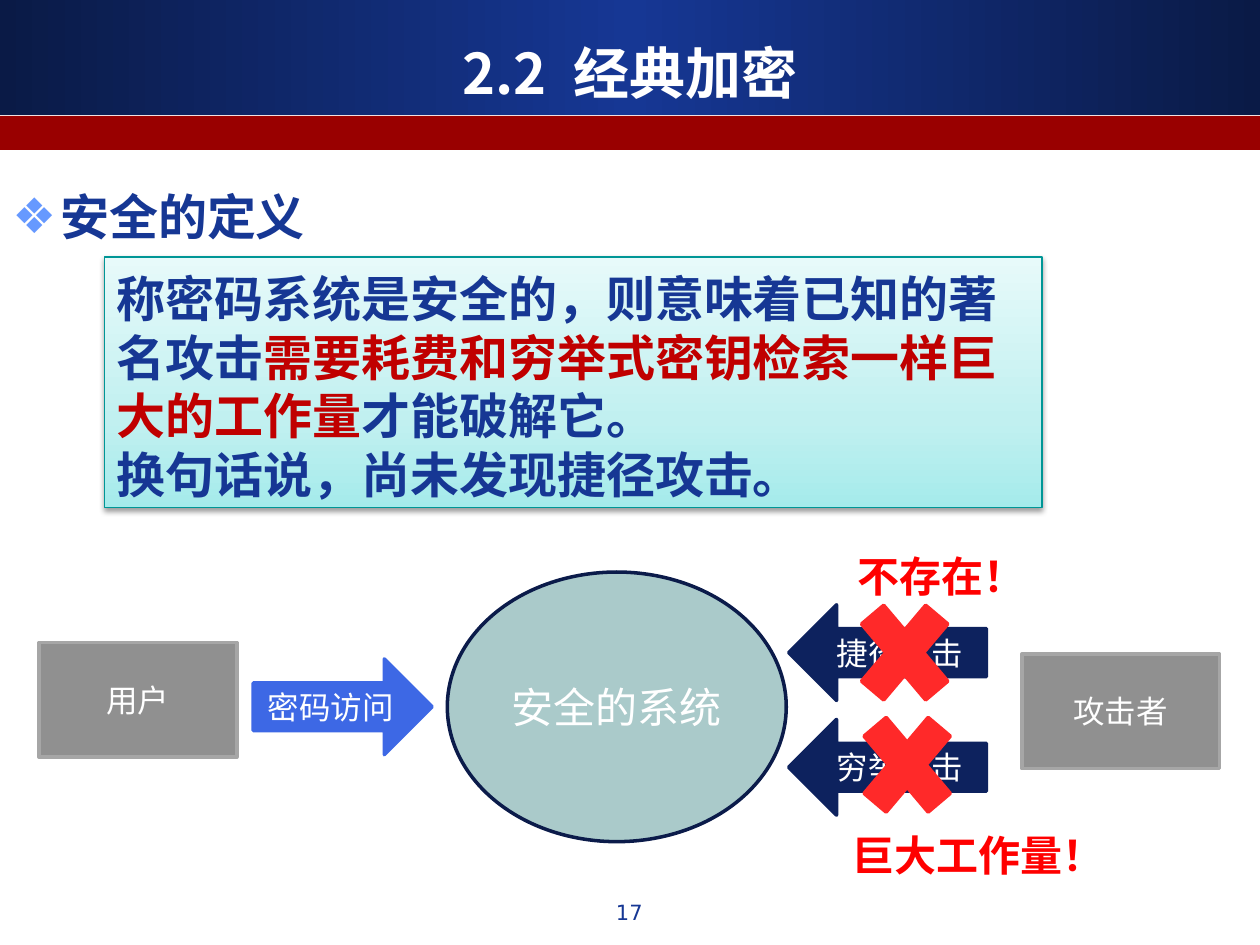
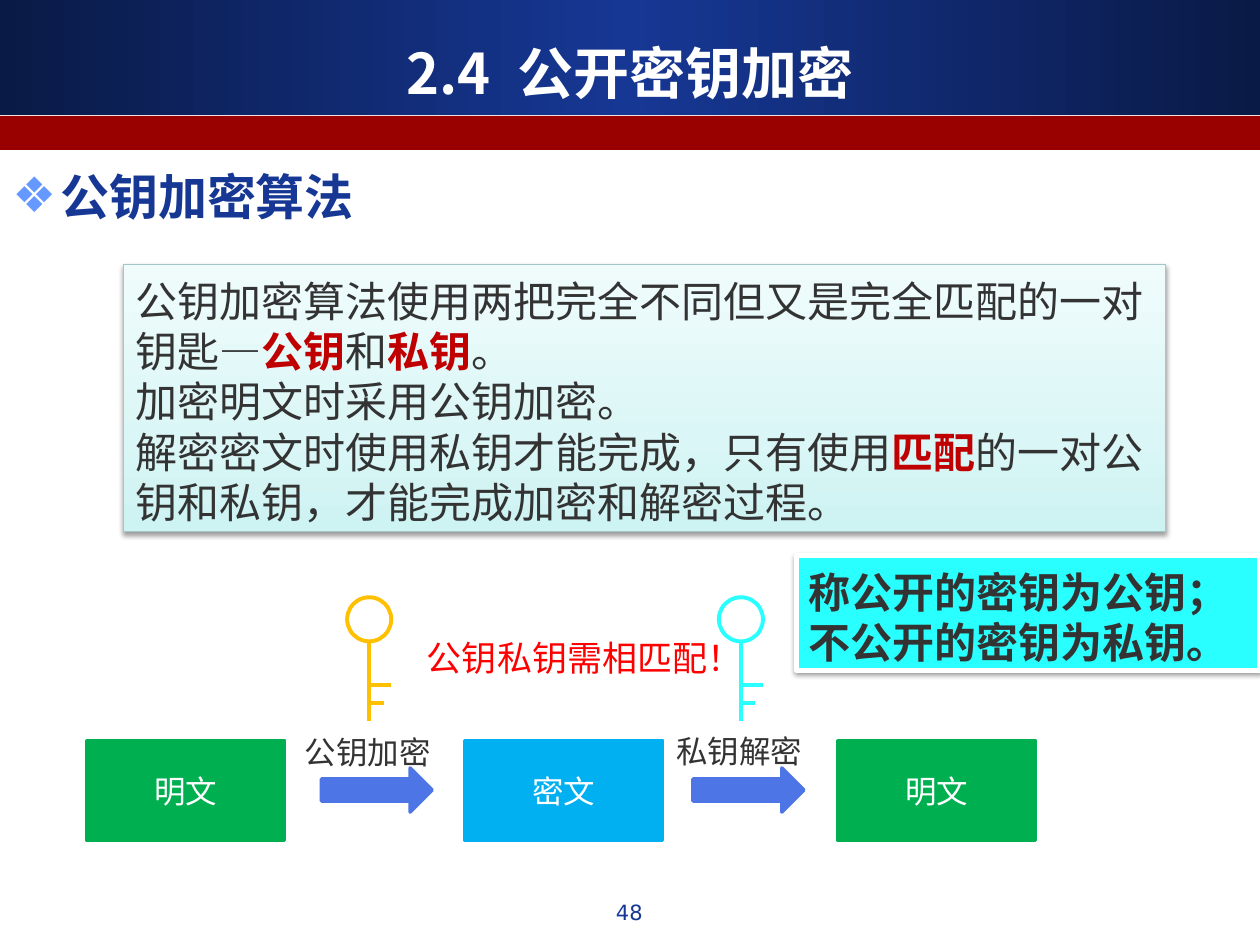
from dataclasses import dataclass
from typing import Optional

from pptx import Presentation
from pptx import util as u
from pptx.dml.color import RGBColor
from pptx.enum import shapes, text
from pptx.oxml import parse_xml
from pptx.oxml.ns import qn

NS = 'xmlns:a="http://schemas.openxmlformats.org/drawingml/2006/main"'
CJK, LATIN, NUMBER = "Noto Sans CJK SC", "Arial", "DejaVu Sans"
SHAPE, ALIGN, ANCHOR = shapes.MSO_SHAPE, text.PP_ALIGN, text.MSO_ANCHOR
LINE_HEIGHT, TOP_SHIFT = 1.195, 0.115  # shares of the text size
COLOURS = {
    "navy": "163794", "band_edge": "0A1A46", "band_red": "990000", "bullet": "6699FF",
    "white": "FFFFFF", "ink": "333333", "emphasis": "C00000", "alert": "FF0000",
    "teal": "009696", "pale_teal": "A5C6C6", "system": "AACACA", "system_edge": "0B1B4A",
    "party": "909090", "party_edge": "A6A6A6", "access": "3D68E5", "attack": "0D225E",
    "cross": "FF2929", "cyan": "29FFFF", "plain": "00B050", "cipher": "00B0F0",
    "step": "4D75E5", "gold": "FFC000",
    "teal_0": "A5EBEB", "teal_1": "C1F0F0", "teal_2": "E7FAFA",
    "pale_0": "CDF3F3", "pale_1": "DBF6F6", "pale_2": "F0FCFC",
}

prs = Presentation()
prs.slide_width, prs.slide_height = u.Inches(10), u.Inches(7.5)
CELL_W, CELL_H = prs.slide_width / 100, prs.slide_height / 75  # grid of 100 columns, 75 rows


@dataclass
class Box:
    """A place on the grid, in columns and rows."""
    col: float
    row: float
    cols: float
    rows: float

    def emu(self) -> list[int]:
        return [int(self.col * CELL_W), int(self.row * CELL_H),
                int(self.cols * CELL_W), int(self.rows * CELL_H)]


@dataclass
class Style:
    """Look of a text; parts between asterisks are emphasised."""
    size: float
    colour: str = "white"
    bold: bool = False
    font: str = CJK
    align: ALIGN = ALIGN.LEFT
    middle: bool = False


@dataclass
class Look:
    """Fill and outline of a shape."""
    fill: Optional[str] = None
    line: Optional[str] = None
    width: float = 2
    gradient: tuple[tuple[int, str], ...] = ()
    angle: int = 270
    shadow: bool = False


TITLE = Style(32, bold=True, align=ALIGN.CENTER, middle=True)
HEADING = Style(28, "navy", True)
NUMBER_STYLE = Style(12, "navy", font=NUMBER, align=ALIGN.CENTER)
LABEL = Style(18, font=LATIN, align=ALIGN.CENTER, middle=True)
ALERT = Style(24, "alert", True)
CAPTION = Style(18, "ink")


def rgb(name: str) -> RGBColor:
    return RGBColor.from_string(COLOURS[name])


def solid(name: str, width: Optional[float] = None) -> Look:
    return Look(name, name if width else None, width or 0)


def set_text(sp, lines: list[str], style: Style) -> None:
    tf = sp.text_frame
    tf.word_wrap = True
    tf.vertical_anchor = ANCHOR.MIDDLE if style.middle else ANCHOR.TOP
    if not style.middle:
        tf.margin_top = u.Inches(0.05) + u.Pt(TOP_SHIFT * style.size)
    for i, line in enumerate(lines):
        p = tf.paragraphs[0] if i == 0 else tf.add_paragraph()
        p.alignment = style.align
        if not style.middle and style.font == CJK:
            p.line_spacing = u.Pt(LINE_HEIGHT * style.size)
        for j, part in enumerate(line.split("*")):
            for k, piece in enumerate(part.split("\v")):
                if k:
                    p.add_line_break()
                if not piece:
                    continue
                strong = j % 2 == 1
                r = p.add_run()
                r.text = piece
                f = r.font
                f.size, f.name = u.Pt(style.size), style.font
                f.bold = style.bold or strong
                f.color.rgb = rgb("emphasis" if strong else style.colour)
                f._element.append(parse_xml(f'<a:ea {NS} typeface="{style.font}"/>'))


def add_text(s, box: Box, lines: list[str], style: Style):
    sp = s.shapes.add_textbox(*box.emu())
    set_text(sp, lines, style)
    return sp


def add_shape(parent, kind: SHAPE, box: Box, look: Look, lines: Optional[list[str]] = None,
              style: Style = LABEL):
    sp = parent.add_shape(kind, *box.emu())
    sp.shadow.inherit = False
    spPr = sp._element.spPr
    if look.fill:
        sp.fill.solid()
        sp.fill.fore_color.rgb = rgb(look.fill)
    else:
        sp.fill.background()
    if look.gradient:
        stops = "".join(f'<a:gs pos="{pos * 1000}"><a:srgbClr val="{COLOURS[name]}"/></a:gs>'
                        for pos, name in look.gradient)
        spPr.replace(spPr.find(qn("a:noFill")), parse_xml(
            f'<a:gradFill {NS} rotWithShape="1"><a:gsLst>{stops}</a:gsLst>'
            f'<a:lin ang="{look.angle * 60000}" scaled="0"/></a:gradFill>'))
    if look.line:
        sp.line.color.rgb = rgb(look.line)
        sp.line.width = u.Pt(look.width)
    else:
        sp.line.fill.background()
    if look.shadow:
        spPr.find(qn("a:effectLst")).append(parse_xml(
            f'<a:outerShdw {NS} blurRad="{u.Pt(3.1)}" dist="{u.Pt(1.6)}" dir="5400000" '
            'rotWithShape="0"><a:srgbClr val="000000"><a:alpha val="38000"/></a:srgbClr>'
            '</a:outerShdw>'))
    if lines:
        set_text(sp, lines, style)
    return sp


def add_key(s, col: float, row: float, colour: str) -> None:
    """A ring, a stem and two teeth, grouped."""
    ring, mid = 3.5, col + 1.75
    group = s.shapes.add_group_shape().shapes
    add_shape(group, SHAPE.OVAL, Box(col, row, ring, ring), Look(line=colour, width=2.25))
    strokes = [(mid, row + ring, mid, row + 9.8),
               (mid, row + 7, mid + 1.75, row + 7),
               (mid, row + 8.4, mid + 1.15, row + 8.4)]
    for x1, y1, x2, y2 in strokes:
        line = group.add_connector(shapes.MSO_CONNECTOR.STRAIGHT, int(x1 * CELL_W),
                                   int(y1 * CELL_H), int(x2 * CELL_W), int(y2 * CELL_H))
        line.line.color.rgb = rgb(colour)
        line.line.width = u.Pt(2.25)
        line._element.spPr.append(parse_xml(f"<a:effectLst {NS}/>"))


def new_slide(section: str, title: str, heading: str, heading_row: float, number: int):
    """A slide with its bands, title, bulleted heading and number."""
    s = prs.slides.add_slide(prs.slide_layouts[6])
    band = Look(gradient=((0, "band_edge"), (50, "navy"), (100, "band_edge")), angle=0)
    add_shape(s.shapes, SHAPE.RECTANGLE, Box(0, 0, 100, 9.1), band)
    add_shape(s.shapes, SHAPE.RECTANGLE, Box(0, 9.2, 100, 2.7), solid("band_red"))
    add_text(s, Box(38.3, 70.7, 23.3, 3.5), [str(number)], NUMBER_STYLE)

    sp = add_text(s, Box(0, heading_row, 94.5, 5.6), [heading], HEADING)
    pPr = sp.text_frame.paragraphs[0]._p.get_or_add_pPr()
    pPr.set("marL", str(u.Inches(0.38)))
    pPr.set("indent", str(-u.Inches(0.38)))
    for bullet in (f'<a:buClr {NS}><a:srgbClr val="{COLOURS["bullet"]}"/></a:buClr>',
                   f'<a:buFont {NS} typeface="{NUMBER}"/>',
                   f'<a:buChar {NS} char="❖"/>'):
        pPr.append(parse_xml(bullet))

    # The gap after the section number is widened by letter spacing
    sp = add_text(s, Box(0, 2.9, 100, 5.6), [f"{section}* *{title}"], TITLE)
    gap = sp.text_frame.paragraphs[0].runs[1]
    gap.font.color.rgb = rgb("white")
    gap.font._element.set("spc", "800")
    return s


def definition(stops: str, line: str) -> Look:
    gradient = tuple((pos, f"{stops}_{i}") for i, pos in enumerate((0, 35, 100)))
    return Look(line=line, width=0.75, gradient=gradient, shadow=True)


# Slide 1: what "secure" means
s = new_slide("2.2", "经典加密", "安全的定义", 13.9, 17)
add_shape(s.shapes, SHAPE.RECTANGLE, Box(8.3, 20.4, 74.4, 19.9), definition("teal", "teal"),
          ["称密码系统是安全的，则意味着已知的著名攻击*需要耗费和穷举式密钥检索一样巨大的工作量*才能破解它。",
           "换句话说，尚未发现捷径攻击。"], HEADING)

# System, user and attacker
add_shape(s.shapes, SHAPE.OVAL, Box(35.5, 45.4, 26.9, 21.4), Look("system", "system_edge"),
          ["安全的系统"], Style(24, font=LATIN, align=ALIGN.CENTER, middle=True))
for col, row, name in ((3.1, 51, "用户"), (81.1, 51.9, "攻击者")):
    add_shape(s.shapes, SHAPE.RECTANGLE, Box(col, row, 15.7, 9.1),
              Look("party", "party_edge"), [name])
add_shape(s.shapes, SHAPE.RIGHT_ARROW, Box(20.1, 52.3, 14.2, 7.6), solid("access", 2),
          ["密码访问"])

# Attacks, then the crosses over them
for row, name in ((48, "捷径攻击"), (57.1, "穷举攻击")):
    arrow = add_shape(s.shapes, SHAPE.RIGHT_ARROW, Box(62.6, row, 15.7, 7.6),
                      solid("attack", 2), [name])
    arrow._element.spPr.xfrm.set("flipH", "1")
add_text(s, Box(67.1, 42.8, 19.7, 5), ["不存在！"], ALERT)
add_text(s, Box(66.7, 65, 23.3, 5), ["巨大工作量！"], ALERT)
for col, row in ((66.9, 46), (67.1, 54.9)):
    add_shape(s.shapes, SHAPE.MATH_MULTIPLY, Box(col, row, 9.8, 11.6), solid("cross", 2))

# Slide 2: public-key encryption
s = new_slide("2.4", "公开密钥加密", "公钥加密算法", 12.3, 48)
add_shape(s.shapes, SHAPE.RECTANGLE, Box(9.8, 21, 82.7, 21.2), definition("pale", "pale_teal"),
          ["公钥加密算法使用两把完全不同但又是完全匹配的一对钥匙—*公钥*和*私钥*。",
           "加密明文时采用公钥加密。",
           "解密密文时使用私钥才能完成，只有使用*匹配*的一对公钥和私钥，才能完成加密和解密过程。"],
          Style(24, "ink"))
add_shape(s.shapes, SHAPE.RECTANGLE, Box(63.2, 44.1, 36.8, 9.1),
          Look("cyan", "white", 3, shadow=True),
          ["称公开的密钥为公钥；\v不公开的密钥为私钥。"], Style(24, "ink", True))

# Flow from plain text to cipher text and back
for col, name, colour in ((6.9, "明文", "plain"), (36.9, "密文", "cipher"),
                          (66.5, "明文", "plain")):
    add_shape(s.shapes, SHAPE.RECTANGLE, Box(col, 58.8, 15.7, 7.9), solid(colour, 2), [name])
for col, row, name, colour in ((23.2, 57.4, "公钥加密", "gold"), (52.7, 57.3, "私钥解密", "cyan")):
    add_shape(s.shapes, SHAPE.RIGHT_ARROW, Box(col + 2.3, 60.95, 8.8, 3.5), solid("step", 2))
    add_key(s, col + 4.35, 47.4, colour)
    add_text(s, Box(col, row, 12.6, 4), [name], CAPTION)
add_text(s, Box(32.9, 49.7, 27.5, 4.4), ["公钥私钥需相匹配！"], Style(20, "alert"))

prs.save("out.pptx")
